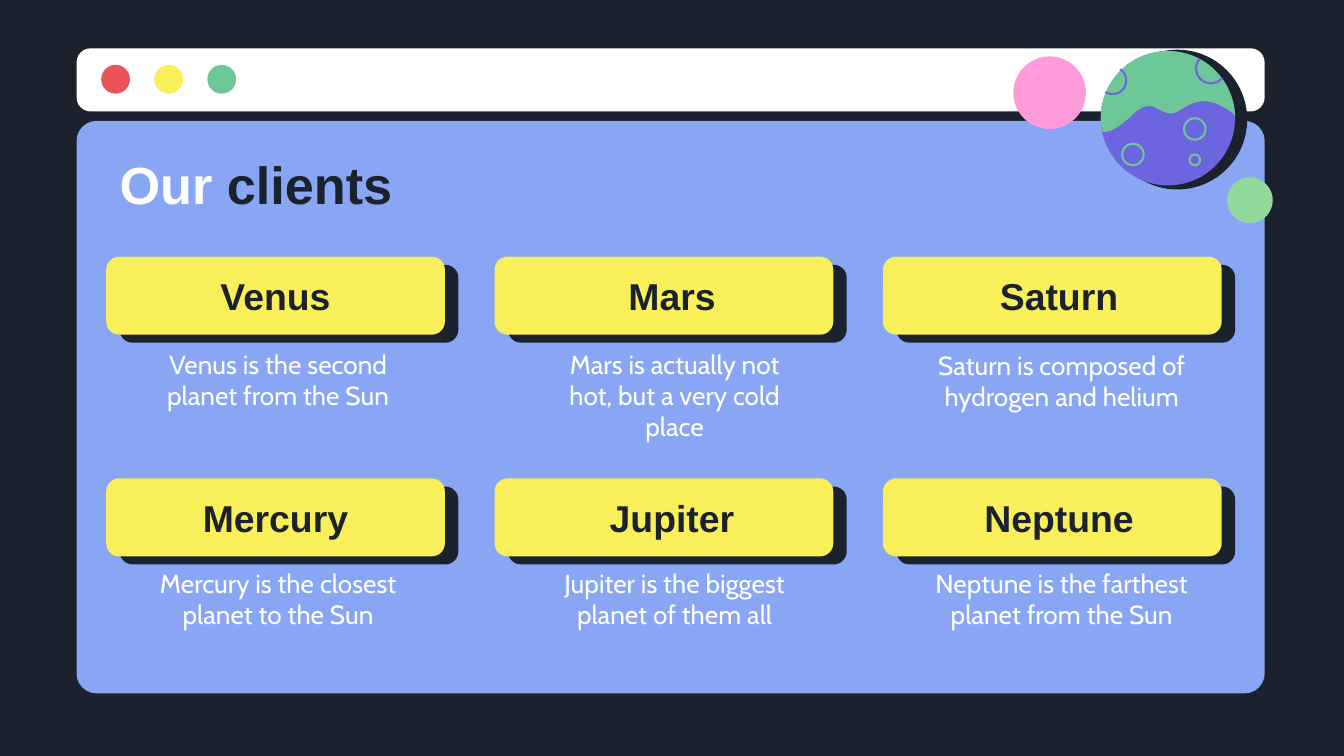
from math import cos, radians, sin

from pptx import Presentation
from pptx.dml.color import RGBColor
from pptx.enum.shapes import MSO_SHAPE as Shape
from pptx.enum.text import MSO_ANCHOR as Anchor, PP_ALIGN as Align
from pptx.util import Inches, Pt

COLORS = {
    "ink": "1B222D", "panel": "88A6F3", "white": "FFFFFF", "yellow": "F8EF5B",
    "red": "EB5358", "green": "6DC797", "purple": "6D65E0",
    "pink": "FF9BDA", "lime": "92D99C",
}
TITLE = [("Our ", "white"), ("clients", "ink")]
CLIENTS = [  # name, caption, caption top
    [("Venus", "Venus is the second planet from the Sun", 2.49),
     ("Mars", "Mars is actually not hot, but a very cold place", 2.49),
     ("Saturn", "Saturn is composed of hydrogen and helium", 2.5)],
    [("Mercury", "Mercury is the closest planet to the Sun", 4.12),
     ("Jupiter", "Jupiter is the biggest planet of them all", 4.12),
     ("Neptune", "Neptune is the farthest planet from the Sun", 4.12)],
]
WINDOW_BUTTONS = ["red", "yellow", "green"]

# Card grid
CARD_W, CARD_H = 2.52, 0.58
CARD_LEFT, CARD_PITCH = 0.79, 2.89
CARD_TOPS = [1.91, 3.56]
TEXT_LEFTS, TEXT_W, CAPTION_H = [0.99, 3.94, 6.82], 2.12, 0.62

# Planet: centre x, centre y, radius, then angles in degrees, clockwise from east
PLANET = (8.69, 0.88, 0.5)
PLANET_SHADOW = (8.76, 0.89, 0.52)
LAND_ANGLES = (168.6, 358)
COAST_START = (9.2, 0.86)
COAST = [  # Bezier control points, right to left
    [(9.02, 0.73), (8.93, 0.72), (8.78, 0.82)],
    [(8.63, 0.92), (8.6, 0.67), (8.41, 0.87)],
    [(8.31, 0.96), (8.25, 0.99), (8.2, 0.98)],
]
LAND_CRATERS = [((8.28, 0.6, 0.1), (-57, 123)), ((9.01, 0.51, 0.11), (40, 221))]
SEA_CRATERS = [(8.43, 1.15, 0.08), (8.89, 0.96, 0.08), (8.89, 1.19, 0.04)]
MOONS = [((9.3, 1.49, 0.17), "lime"), ((7.81, 0.69, 0.27), "pink")]


def rgb(name):
    return RGBColor.from_string(COLORS[name])


def paint(shape, fill=None, line=None):
    shape.shadow.inherit = False
    if fill:
        shape.fill.solid()
        shape.fill.fore_color.rgb = rgb(fill)
    else:
        shape.fill.background()
    if line:
        shape.line.color.rgb = rgb(line)
        shape.line.width = Pt(1.1)
    else:
        shape.line.fill.background()


def add_rounded(left, top, width, height, corner, fill):
    box = shapes.add_shape(Shape.ROUNDED_RECTANGLE, *map(Inches, (left, top, width, height)))
    box.adjustments[0] = corner
    paint(box, fill)


def add_circle(x, y, radius, fill=None, line=None):
    box = (x - radius, y - radius, 2 * radius, 2 * radius)
    paint(shapes.add_shape(Shape.OVAL, *map(Inches, box)), fill, line)


def arc(x, y, radius, start, end, steps=40):
    angles = [radians(start + (end - start) * i / steps) for i in range(steps + 1)]
    return [(x + radius * cos(a), y + radius * sin(a)) for a in angles]


def bezier(p0, p1, p2, p3, steps=16):
    """Points along a cubic curve, without its first point."""
    points = []
    for i in range(1, steps + 1):
        t = i / steps
        u = 1 - t
        weights = (u ** 3, 3 * u * u * t, 3 * u * t * t, t ** 3)
        points.append(tuple(sum(w * p[axis] for w, p in zip(weights, (p0, p1, p2, p3)))
                            for axis in (0, 1)))
    return points


def add_outline(points, close, fill=None, line=None):
    emu = [(Inches(x), Inches(y)) for x, y in points]
    builder = shapes.build_freeform(*emu[0])
    builder.add_line_segments(emu[1:], close=close)
    paint(builder.convert_to_shape(), fill, line)


def write(box, runs, size, font, align, anchor, bold=False):
    frame = box.text_frame
    frame.word_wrap = True
    frame.vertical_anchor = anchor
    frame.margin_left = frame.margin_right = Inches(0.1)
    frame.margin_top = frame.margin_bottom = Inches(0.1)
    paragraph = frame.paragraphs[0]
    paragraph.alignment = align
    for text, color in runs:
        run = paragraph.add_run()
        run.text = text
        run.font.size, run.font.name, run.font.bold = Pt(size), font, bold
        run.font.color.rgb = rgb(color)


def add_text(left, top, height, runs, **style):
    box = shapes.add_textbox(*map(Inches, (left, top, TEXT_W, height)))
    write(box, runs, align=Align.CENTER, **style)


prs = Presentation()
prs.slide_width = Inches(10)
prs.slide_height = prs.slide_width * 9 // 16
slide = prs.slides.add_slide(prs.slide_layouts[5])
shapes = slide.shapes
slide.background.fill.solid()
slide.background.fill.fore_color.rgb = rgb("ink")

# Browser window
add_rounded(0.57, 0.9, 8.84, 4.26, 0.035, "panel")
add_rounded(0.57, 0.36, 8.84, 0.47, 0.223, "white")
for i, color in enumerate(WINDOW_BUTTONS):
    add_circle(0.86 + 0.395 * i, 0.59, 0.107, color)

# Planet and moons
add_circle(*PLANET_SHADOW, "ink")
add_circle(*PLANET, "purple")
land = arc(*PLANET, *LAND_ANGLES)
start = COAST_START
for controls in COAST:
    land += bezier(start, *controls)
    start = controls[-1]
add_outline(land, True, fill="green")
for circle, angles in LAND_CRATERS:
    add_outline(arc(*circle, *angles), False, line="purple")
for circle in SEA_CRATERS:
    add_circle(*circle, line="green")
for circle, color in MOONS:
    add_circle(*circle, color)

# Title, brought in front of the window
title = shapes.title
title.left, title.top, title.width, title.height = map(Inches, (0.79, 1.06, 8.43, 0.62))
write(title, TITLE, 28, "Arial", Align.LEFT, Anchor.MIDDLE, bold=True)
title.element.getparent().append(title.element)

# Client cards
for clients, card_top in zip(CLIENTS, CARD_TOPS):
    for column, (name, caption, caption_top) in enumerate(clients):
        card_left = CARD_LEFT + CARD_PITCH * column
        text_left = TEXT_LEFTS[column]
        add_rounded(card_left + 0.1, card_top + 0.06, CARD_W, CARD_H, 0.167, "ink")
        add_rounded(card_left, card_top, CARD_W, CARD_H, 0.167, "yellow")
        add_text(text_left, card_top, CARD_H, [(name, "ink")],
                 size=20, font="Arial", anchor=Anchor.MIDDLE, bold=True)
        add_text(text_left + 0.02, caption_top, CAPTION_H, [(caption, "white")],
                 size=14, font="Cabin", anchor=Anchor.TOP)

prs.save("out.pptx")
